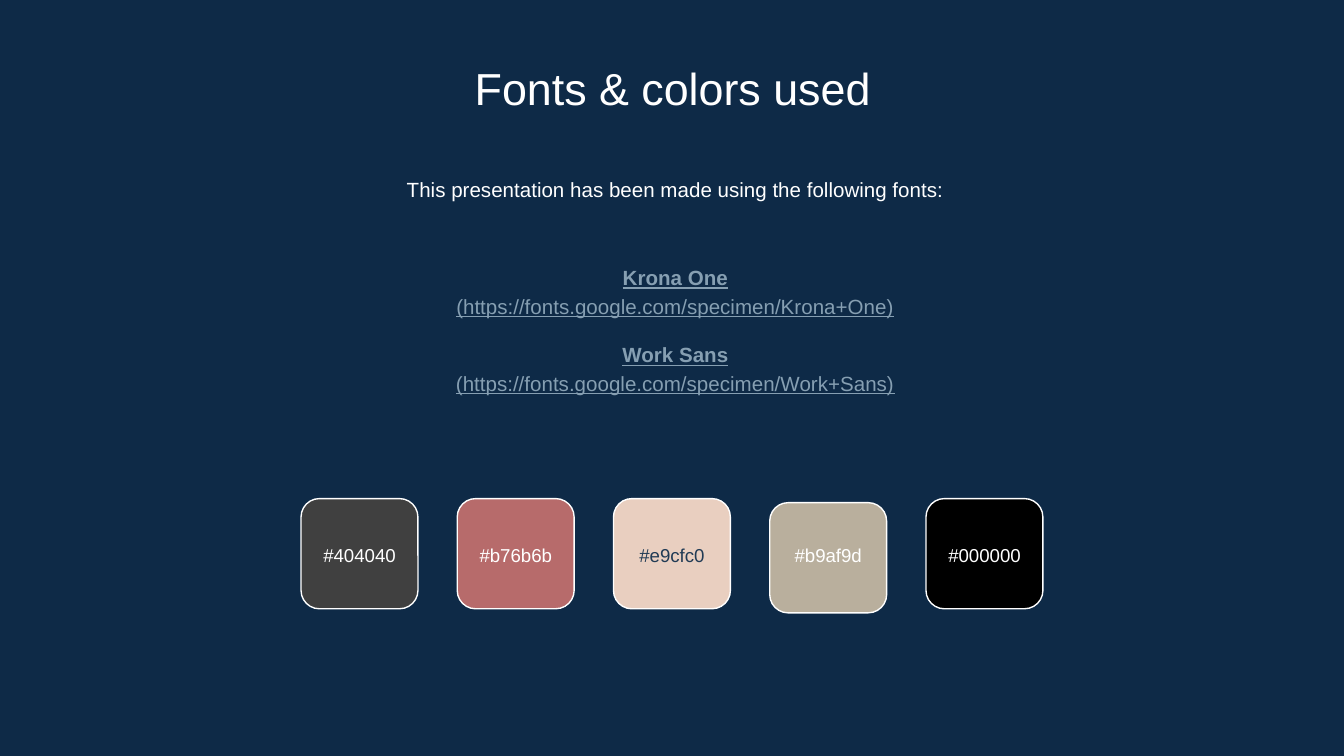
from dataclasses import dataclass

from pptx import Presentation
from pptx.dml.color import RGBColor
from pptx.enum.shapes import MSO_SHAPE
from pptx.enum.text import MSO_ANCHOR, PP_ALIGN
from pptx.util import Inches, Pt

PAGE_WIDTH = 10
PAGE_HEIGHT = PAGE_WIDTH * 9 / 16
FONT = "Arial"
COLORS = {
    "background": "0E2A47",
    "text": "FFFFFF",
    "link": "869FB2",
    "dark_label": "213B55",
}

# The swatch row is centred on the page, with equal gaps.
SWATCH_WIDTH, SWATCH_HEIGHT = 0.87, 0.82
ROW_LEFT, ROW_TOP = 2.24, 3.71
LABEL_TOP, LABEL_HEIGHT = 3.89, 0.48
BODY_LEFT, BODY_WIDTH = 1.17, 7.71


@dataclass
class Line:
    text: str
    size: float
    color: str = "text"
    bold: bool = False
    underline: bool = False
    spacing: float = 1.0
    space_before: float = 0


@dataclass
class Swatch:
    code: str
    label_color: str = "text"
    drop: float = 0


@dataclass
class FontEntry:
    name: str
    address: str


SWATCHES = [
    Swatch("#404040"),
    Swatch("#b76b6b"),
    Swatch("#e9cfc0", label_color="dark_label"),
    Swatch("#b9af9d", drop=0.03),
    Swatch("#000000"),
]
FONTS_USED = [
    FontEntry("Krona One", "(https://fonts.google.com/specimen/Krona+One)"),
    FontEntry("Work Sans", "(https://fonts.google.com/specimen/Work+Sans)"),
]


def rgb(name: str) -> RGBColor:
    return RGBColor.from_string(COLORS[name])


def add_text(page, left: float, top: float, width: float, height: float,
             lines: list[Line], anchor=MSO_ANCHOR.TOP) -> None:
    box = page.shapes.add_textbox(
        Inches(left), Inches(top), Inches(width), Inches(height))
    frame = box.text_frame
    frame.word_wrap = True
    frame.vertical_anchor = anchor
    frame.margin_left = frame.margin_right = Inches(0.1)
    frame.margin_top = frame.margin_bottom = Inches(0.1)
    frame.text = "\n".join(line.text for line in lines)
    for para, line in zip(frame.paragraphs, lines):
        para.alignment = PP_ALIGN.CENTER
        para.line_spacing = line.spacing
        para.space_before = Pt(line.space_before)
        for span in para.runs:
            span.font.name = FONT
            span.font.size = Pt(line.size)
            span.font.bold = line.bold
            span.font.underline = line.underline
            span.font.color.rgb = rgb(line.color)


def add_swatch(page, column: int, swatch: Swatch) -> None:
    row_width = PAGE_WIDTH - 2 * ROW_LEFT
    pitch = (row_width - SWATCH_WIDTH) / (len(SWATCHES) - 1)
    left = ROW_LEFT + column * pitch
    tile = page.shapes.add_shape(
        MSO_SHAPE.ROUNDED_RECTANGLE, Inches(left), Inches(ROW_TOP + swatch.drop),
        Inches(SWATCH_WIDTH), Inches(SWATCH_HEIGHT))
    tile.shadow.inherit = False
    tile.fill.solid()
    tile.fill.fore_color.rgb = RGBColor.from_string(swatch.code[1:].upper())
    tile.line.color.rgb = rgb("text")
    tile.line.width = Pt(0.75)
    add_text(page, left, LABEL_TOP, SWATCH_WIDTH, LABEL_HEIGHT,
             [Line(swatch.code, 10, swatch.label_color)], MSO_ANCHOR.MIDDLE)


def font_lines(entries: list[FontEntry]) -> list[Line]:
    lines = []
    for entry in entries:
        gap = 11 if lines else 0
        lines += [
            Line(entry.name, 11, "link", bold=True, underline=True,
                 spacing=1.15, space_before=gap),
            Line(entry.address, 11, "link", underline=True, spacing=1.15),
        ]
    return lines


def main() -> None:
    deck = Presentation()
    deck.slide_width, deck.slide_height = Inches(PAGE_WIDTH), Inches(PAGE_HEIGHT)
    page = deck.slides.add_slide(deck.slide_layouts[6])
    page.background.fill.solid()
    page.background.fill.fore_color.rgb = rgb("background")

    add_text(page, 1.15, 0.35, BODY_WIDTH, 0.53, [Line("Fonts & colors used", 24)])
    add_text(page, BODY_LEFT, 1.19, BODY_WIDTH, 0.48, [
        Line("This presentation has been made using the following fonts:",
             11, spacing=1.15)])
    add_text(page, BODY_LEFT, 1.76, BODY_WIDTH, 1.37,
             font_lines(FONTS_USED), MSO_ANCHOR.MIDDLE)
    for column, swatch in enumerate(SWATCHES):
        add_swatch(page, column, swatch)
    deck.save("out.pptx")


if __name__ == "__main__":
    main()
